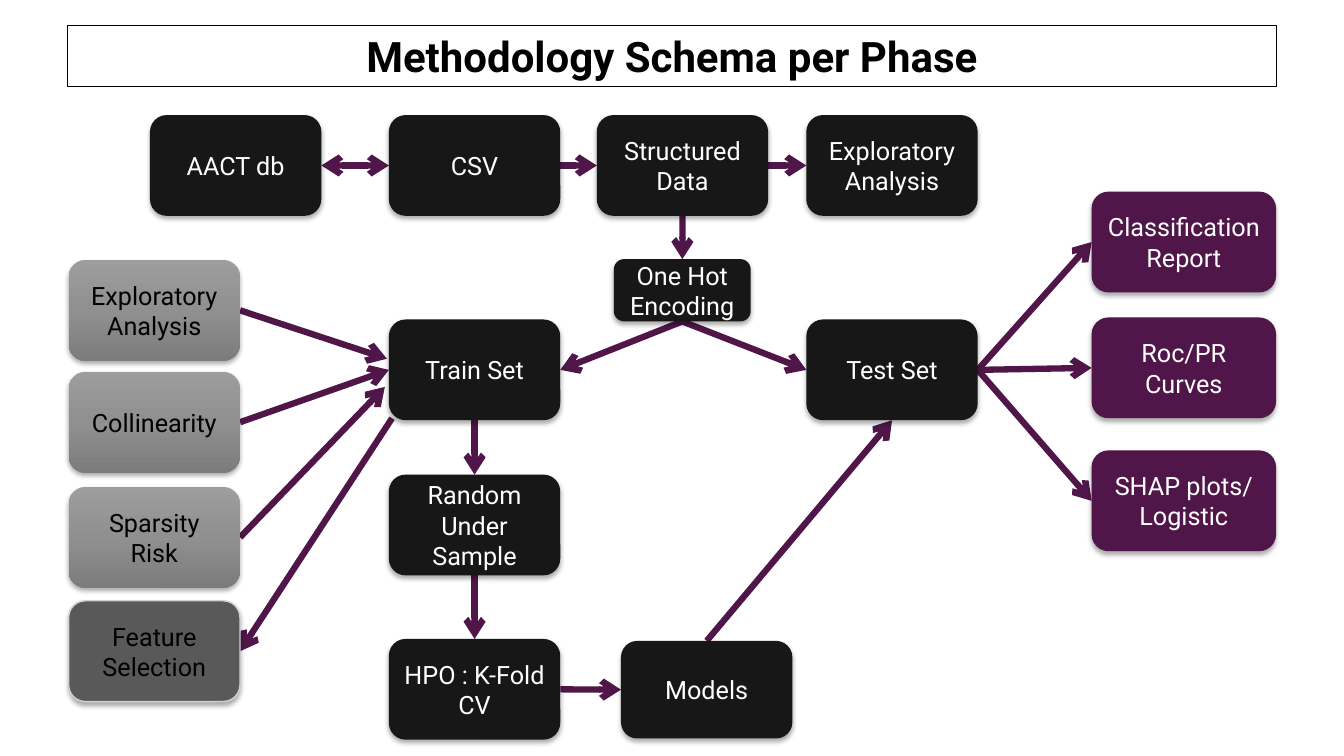
from lxml import etree
from pptx import Presentation
from pptx.dml.color import RGBColor
from pptx.enum.shapes import MSO_CONNECTOR, MSO_SHAPE
from pptx.enum.text import MSO_ANCHOR, MSO_AUTO_SIZE, PP_ALIGN
from pptx.oxml.ns import qn
from pptx.util import Cm, Pt

ROUNDED = MSO_SHAPE.ROUNDED_RECTANGLE
STRAIGHT = MSO_CONNECTOR.STRAIGHT
MIDDLE = MSO_ANCHOR.MIDDLE
CENTER = PP_ALIGN.CENTER
TOP, LEFT, BOTTOM, RIGHT = range(4)  # connection sites of a rounded rectangle

FONT = "Roboto"
BLACK = RGBColor(0x00, 0x00, 0x00)
WHITE = RGBColor(0xFF, 0xFF, 0xFF)
CHARCOAL = RGBColor(0x17, 0x17, 0x17)
PURPLE = RGBColor(0x50, 0x16, 0x49)
DARK_GREY = RGBColor(0x59, 0x59, 0x59)
PALE_GREY = RGBColor(0xCC, 0xD2, 0xD8)
GREY_STOPS = [(0, RGBColor(0x9D, 0x9D, 0x9D)),
              (50, RGBColor(0x90, 0x90, 0x90)),
              (100, RGBColor(0x7C, 0x7C, 0x7C))]

TITLE = "Methodology Schema per Phase"

# Lengths in centimetres
CHECK_X, TRAIN_X, TEST_X, RESULT_X = 1.73, 9.8, 20.32, 27.51
DATA_Y, SPLIT_Y = 2.9, 8.05
STEP = (4.32, 2.54)
RESULT = (4.65, 2.54)

# name: (text, left, top, (width, height), style)
BOXES = {
    "database": ("AACT db", 3.78, DATA_Y, STEP, "step"),
    "csv": ("CSV", TRAIN_X, DATA_Y, STEP, "step"),
    "structured": ("Structured Data", 15.04, DATA_Y, STEP, "step"),
    "exploration": ("Exploratory Analysis", TEST_X, DATA_Y, STEP, "step"),
    "encoding": ("One Hot Encoding", 15.47, 6.53, (3.45, 1.57), "step"),
    "train": ("Train Set", TRAIN_X, SPLIT_Y, STEP, "step"),
    "test": ("Test Set", TEST_X, SPLIT_Y, STEP, "step"),
    "sampling": ("Random Under Sample", TRAIN_X, 11.96, STEP, "step"),
    "tuning": ("HPO : K-Fold CV", TRAIN_X, 16.1, STEP, "step"),
    "models": ("Models", 15.65, 16.15, (4.32, 2.46), "step"),
    "train exploration": ("Exploratory Analysis", CHECK_X, 6.55, STEP, "check"),
    "collinearity": ("Collinearity", CHECK_X, 9.37, STEP, "check"),
    "sparsity": ("Sparsity Risk", CHECK_X, 12.27, STEP, "check"),
    "selection": ("Feature Selection", CHECK_X, 15.14, STEP, "selection"),
    "report": ("Classification Report", RESULT_X, 4.83, RESULT, "result"),
    "curves": ("Roc/PR Curves", RESULT_X, 8, RESULT, "result"),
    "shap": ("SHAP plots/\nLogistic", RESULT_X, 11.35, RESULT, "result"),
}

# style: (fill, text colour); a list is a gradient
STYLES = {
    "step": (CHARCOAL, WHITE),
    "check": (GREY_STOPS, BLACK),
    "selection": (DARK_GREY, BLACK),
    "result": (PURPLE, WHITE),
}

# Each end is (box, site), or (x, y) for a free point beside the train set
ARROWS = [
    (("database", RIGHT), ("csv", LEFT)),
    (("csv", RIGHT), ("structured", LEFT)),
    (("structured", RIGHT), ("exploration", LEFT)),
    (("structured", BOTTOM), ("encoding", TOP)),
    (("encoding", BOTTOM), ("train", RIGHT)),
    (("encoding", BOTTOM), ("test", LEFT)),
    (("train", BOTTOM), ("sampling", TOP)),
    (("sampling", BOTTOM), ("tuning", TOP)),
    (("tuning", RIGHT), ("models", LEFT)),
    (("models", TOP), ("test", BOTTOM)),
    (("test", RIGHT), ("report", LEFT)),
    (("test", RIGHT), ("curves", LEFT)),
    (("test", RIGHT), ("shap", LEFT)),
    (("train exploration", RIGHT), (9.75, 9.04)),
    (("collinearity", RIGHT), ("train", LEFT)),
    (("sparsity", RIGHT), (9.7, 9.75)),
    ((9.88, 10.54), ("selection", RIGHT)),
]
TWO_WAY = ARROWS[0]


def format_text(frame, size, color, bold=False):
    frame.word_wrap = True
    frame.vertical_anchor = MIDDLE
    for para in frame.paragraphs:
        para.alignment = CENTER
        for span in para.runs:
            font = span.font
            font.name, font.size, font.bold = FONT, Pt(size), bold
            font.color.rgb = color


def fill_gradient(box, stops):
    box.fill.gradient()
    box.fill.gradient_angle = 270
    stop_list = next(box._element.spPr.iter(qn("a:gsLst")))
    for stop in list(stop_list):
        stop_list.remove(stop)
    for percent, color in stops:
        stop = etree.SubElement(stop_list, qn("a:gs"), pos=str(percent * 1000))
        etree.SubElement(stop, qn("a:srgbClr"), val=str(color))


def add_shadow(box):
    box.shadow.inherit = False
    effects = box._element.spPr.find(qn("a:effectLst"))
    shadow = etree.SubElement(
        effects, qn("a:outerShdw"), blurRad=str(Pt(3.5)), dist=str(Pt(2.2)),
        dir="5400000", rotWithShape="0")
    color = etree.SubElement(shadow, qn("a:srgbClr"), val=str(BLACK))
    etree.SubElement(color, qn("a:alpha"), val="32000")


def add_box(page, text, left, top, size, style):
    fill, text_color = STYLES[style]
    box = page.shapes.add_shape(ROUNDED, Cm(left), Cm(top), *map(Cm, size))
    if isinstance(fill, list):
        fill_gradient(box, fill)
    else:
        box.fill.solid()
        box.fill.fore_color.rgb = fill
    if style == "selection":
        box.line.color.rgb = PALE_GREY
        box.line.width = Pt(1)
    else:
        box.line.fill.background()
    add_shadow(box)
    box.text_frame.text = text
    format_text(box.text_frame, 18, text_color)
    return box


def add_arrow(page, boxes, start, end, two_way):
    """Join two ends, gluing to boxes, and lay the arrow behind them."""
    points = [(0, 0) if name in boxes else (name, site)
              for name, site in (start, end)]
    arrow = page.shapes.add_connector(
        STRAIGHT, *(Cm(value) for point in points for value in point))
    for (name, site), connect in ((start, arrow.begin_connect),
                                  (end, arrow.end_connect)):
        if name in boxes:
            connect(boxes[name], site)
    arrow.line.color.rgb = PURPLE
    arrow.line.width = Pt(4.5)
    properties = arrow._element.spPr
    line = properties.find(qn("a:ln"))
    for tag in ("a:headEnd", "a:tailEnd") if two_way else ("a:tailEnd",):
        etree.SubElement(line, qn(tag), type="arrow")
    etree.SubElement(properties, qn("a:effectLst"))
    page.shapes.title._element.addnext(arrow._element)


def main():
    deck = Presentation()
    deck.slide_width, deck.slide_height = Cm(33.87), Cm(19.05)
    page = deck.slides.add_slide(deck.slide_layouts[5])

    title = page.shapes.title
    title.left, title.top = Cm(1.7), Cm(0.64)
    title.width, title.height = Cm(30.48), Cm(1.55)
    title.line.color.rgb = BLACK
    title.line.width = Pt(0.75)
    title.text_frame.text = TITLE
    title.text_frame.auto_size = MSO_AUTO_SIZE.NONE
    format_text(title.text_frame, 30, BLACK, bold=True)

    boxes = {name: add_box(page, *box) for name, box in BOXES.items()}
    for arrow in ARROWS:
        add_arrow(page, boxes, *arrow, two_way=arrow is TWO_WAY)

    deck.save("out.pptx")


if __name__ == "__main__":
    main()
